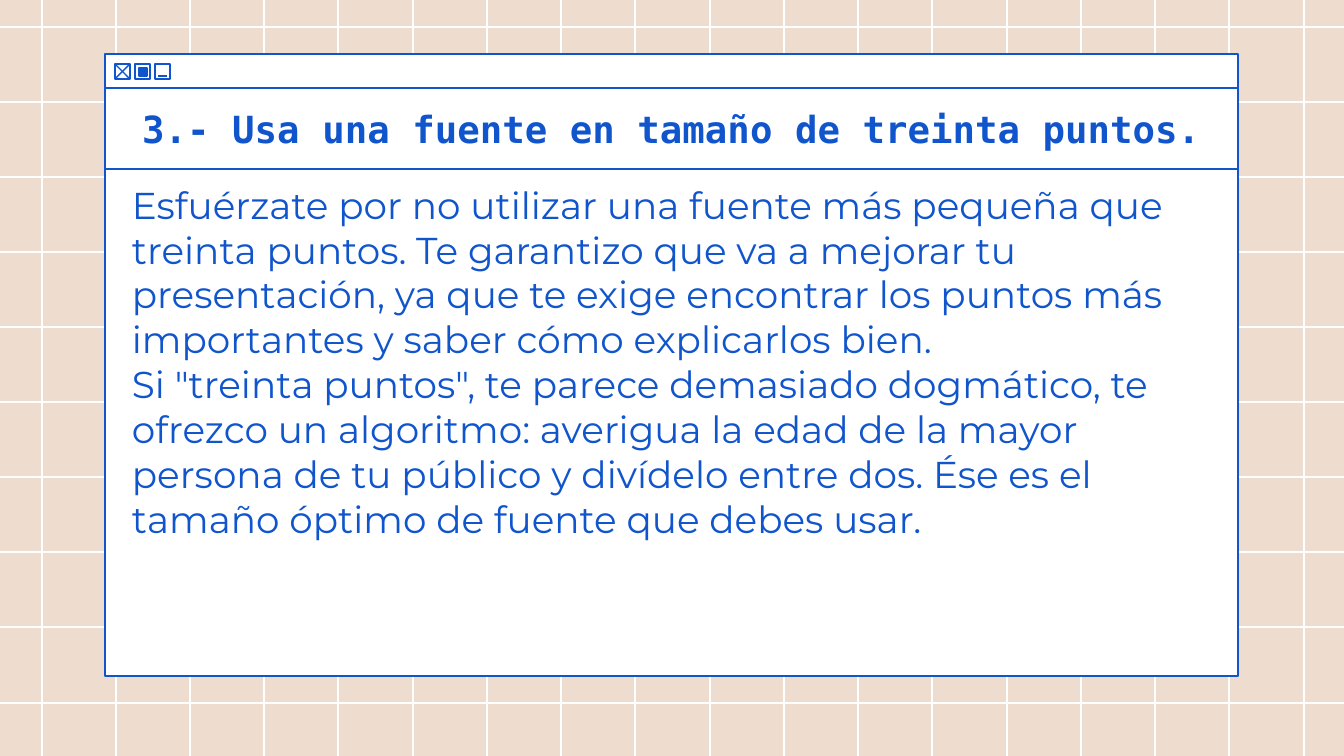
import pptx
import pptx.dml.color
import pptx.enum.shapes
import pptx.enum.text
import pptx.oxml.ns
import pptx.util
from lxml import etree

BLUE = pptx.dml.color.RGBColor(0x11, 0x55, 0xCC)
WHITE = pptx.dml.color.RGBColor(0xFF, 0xFF, 0xFF)
SAND = pptx.dml.color.RGBColor(0xEE, 0xDC, 0xCE)
EMU_PER_PX = 914400 / 134.4
WIDTH, HEIGHT = 1344, 756


def px(length):
    return pptx.util.Emu(round(length * EMU_PER_PX))


class SlideBuilder:
    text_size = pptx.util.Pt(20)
    stroke = pptx.util.Pt(0.75)

    def __init__(self, presentation):
        self.slide = presentation.slides.add_slide(presentation.slide_layouts[5])
        self.slide.background.fill.solid()
        self.slide.background.fill.fore_color.rgb = SAND

    def outline(self, shape, fill):
        if fill is None:
            shape.fill.background()
        else:
            shape.fill.solid()
            shape.fill.fore_color.rgb = fill
        shape.line.color.rgb = BLUE
        shape.line.width = self.stroke

    def line(self, x1, y1, x2, y2, color=BLUE):
        connector = self.slide.shapes.add_connector(
            pptx.enum.shapes.MSO_CONNECTOR.STRAIGHT, px(x1), px(y1), px(x2), px(y2))
        connector.line.color.rgb = color
        connector.line.width = self.stroke
        etree.SubElement(connector.element.spPr, pptx.oxml.ns.qn("a:effectLst"))

    def box(self, x, y, width, height, fill=None):
        shape = self.slide.shapes.add_shape(
            pptx.enum.shapes.MSO_SHAPE.RECTANGLE, px(x), px(y), px(width), px(height))
        shape.shadow.inherit = False
        self.outline(shape, fill)
        return shape

    def set_text(self, shape, paragraphs, font, bold, align, anchor, left, right):
        frame = shape.text_frame
        frame.text = "\n".join(paragraphs)
        frame.word_wrap = True
        frame.auto_size = pptx.enum.text.MSO_AUTO_SIZE.NONE
        frame.vertical_anchor = anchor
        frame.margin_left, frame.margin_right = px(left), px(right)
        frame.margin_top = frame.margin_bottom = px(13)
        for paragraph in frame.paragraphs:
            paragraph.alignment = align
            for run in paragraph.runs:
                run.font.name = font
                run.font.size = self.text_size
                run.font.bold = bold
                run.font.color.rgb = BLUE

    def title(self, text, x, y, width, height):
        heading = self.slide.shapes.title
        heading.element.getparent().append(heading.element)
        heading.left, heading.top = px(x), px(y)
        heading.width, heading.height = px(width), px(height)
        self.outline(heading, WHITE)
        self.set_text(heading, [text], "DejaVu Sans Mono", True,
                      pptx.enum.text.PP_ALIGN.CENTER,
                      pptx.enum.text.MSO_ANCHOR.MIDDLE, 13, 13)

    def body(self, paragraphs, x, y, width, height):
        panel = self.box(x, y, width, height, WHITE)
        self.set_text(panel, paragraphs, "Montserrat", False,
                      pptx.enum.text.PP_ALIGN.LEFT,
                      pptx.enum.text.MSO_ANCHOR.TOP, 27, 40)

    def grid(self):
        for column in range(18):
            x = 42 + column * 1262 // 17
            self.line(x, 0, x, HEIGHT, WHITE)
        for row in range(10):
            y = 27 + row * 676 // 9
            self.line(WIDTH, y, 0, y, WHITE)

    def window_bar(self, x, y, width, height):
        self.box(x, y, width, height, WHITE)
        close, maximize, minimize = (x + 10 + 20 * index for index in range(3))
        top, side = y + 10, 15
        for button in (close, maximize, minimize):
            self.box(button, top, side, side)
        self.line(close, top, close + side, top + side)
        self.line(close + side, top, close, top + side)
        self.box(maximize + 4, top + 4, 8, 8, BLUE)
        self.line(minimize + 3, top + 12, minimize + 12, top + 12)


def main():
    presentation = pptx.Presentation()
    presentation.slide_width, presentation.slide_height = px(WIDTH), px(HEIGHT)
    builder = SlideBuilder(presentation)
    left, width = 105, 1133
    builder.grid()
    builder.title("3.- Usa una fuente en tamaño de treinta puntos.", left, 88, width, 81)
    builder.body([
        "Esfuérzate por no utilizar una fuente más pequeña que treinta puntos. "
        "Te garantizo que va a mejorar tu presentación, ya que te exige encontrar "
        "los puntos más importantes y saber cómo explicarlos bien.",
        'Si "treinta puntos", te parece demasiado dogmático, te ofrezco un '
        "algoritmo: averigua la edad de la mayor persona de tu público y divídelo "
        "entre dos. Ése es el tamaño óptimo de fuente que debes usar.",
    ], left, 169, width, 507)
    builder.window_bar(left, 54, width, 34)
    presentation.save("out.pptx")


if __name__ == "__main__":
    main()
